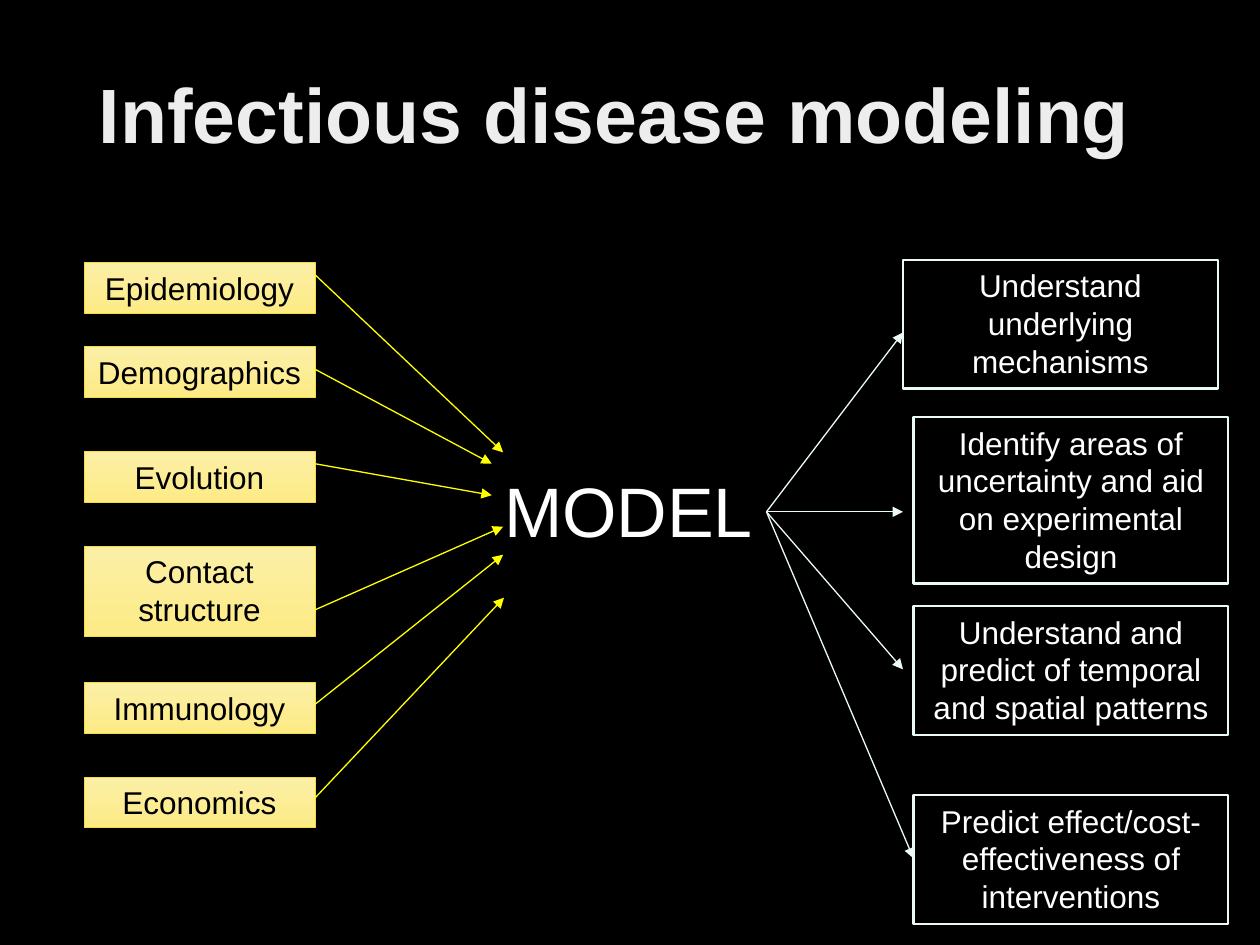
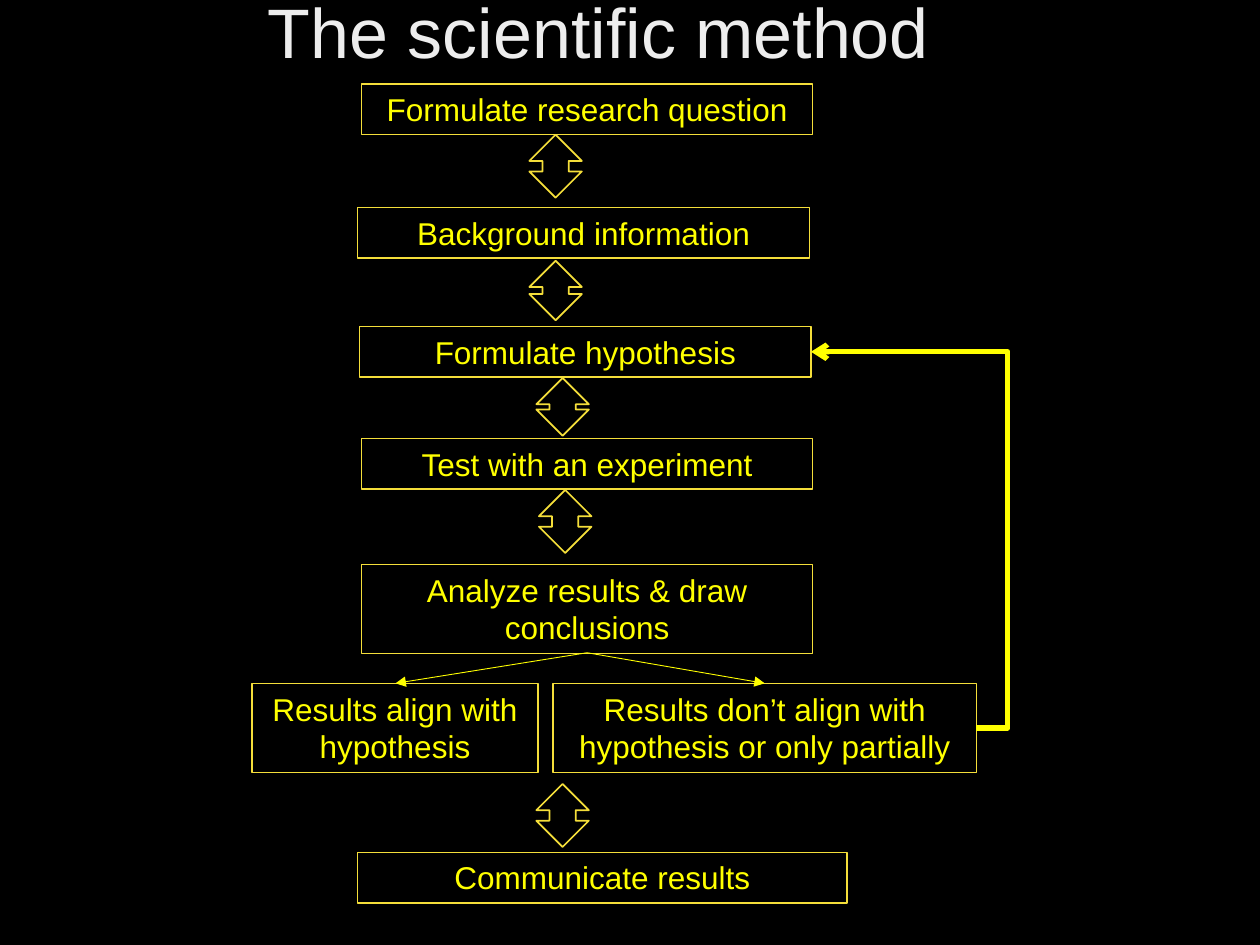
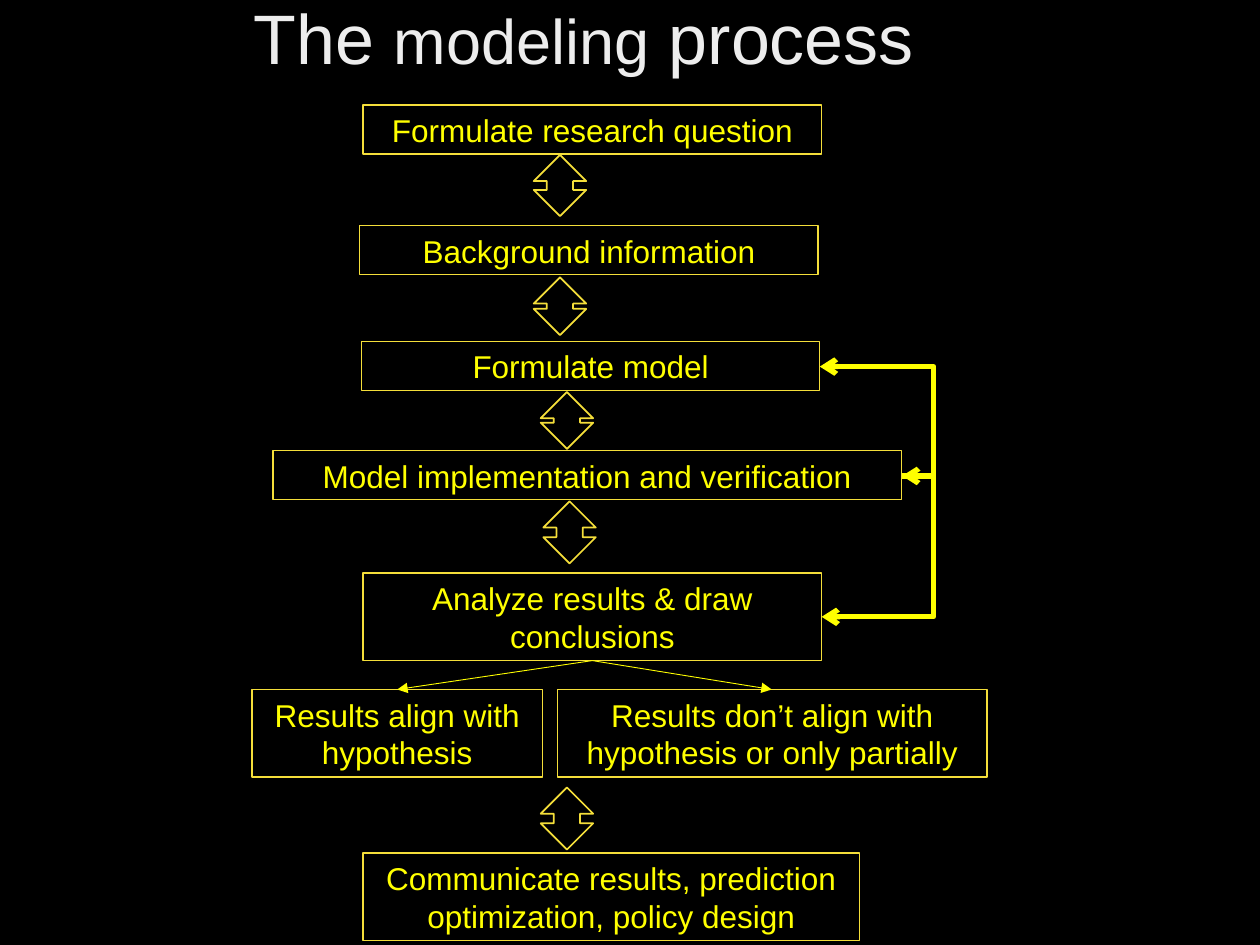
from lxml import etree
from pptx import Presentation
from pptx.dml import color
from pptx.enum import shapes, text
from pptx.oxml import ns
from pptx.util import Pt

BLACK, WHITE, TITLE = "000000", "FFFFFF", "EDEDED"
YELLOW, GOLD, MINT = "FFFF00", "F4DE3A", "EAFBF7"
CREAM = ("FBEFA7", "FDEB85")
BODY = {"name": "Arial", "size": Pt(18)}
RECT = shapes.MSO_SHAPE.RECTANGLE
LEFT, CENTER = text.PP_ALIGN.LEFT, text.PP_ALIGN.CENTER


def rgb(value):
    return color.RGBColor.from_string(value)


def set_all(obj, values):
    for name, value in values.items():
        setattr(obj, name, value)


def add_runs(tf, runs, fill, align, spacing=None, **extra):
    p = tf.paragraphs[0]
    set_all(p, {"alignment": align, "line_spacing": spacing})
    for words, size in runs:
        r = p.add_run()
        r.text = words
        set_all(r.font, {**BODY, "size": Pt(size), **extra})
        r.font.color.rgb = rgb(fill)


def add_text(slide, box, runs, fill, anchor, spacing=None, **extra):
    sp = slide.shapes.add_textbox(*map(Pt, box))
    set_all(sp.text_frame, {"word_wrap": True, "vertical_anchor": anchor})
    add_runs(sp.text_frame, runs, fill, LEFT, spacing, **extra)


def add_title(slide, box, runs, **extra):
    add_text(slide, box, runs, TITLE, text.MSO_ANCHOR.MIDDLE, 0.9, **extra)


def add_outline(slide, kind, box, line, weight):
    sp = slide.shapes.add_shape(kind, *map(Pt, box))
    sp.shadow.inherit = False
    sp.fill.background()
    sp.line.color.rgb = rgb(line)
    sp.line.width = Pt(weight)
    return sp


def add_box(slide, words, box, line, weight, font_fill, gradient=None):
    sp = add_outline(slide, RECT, box, line, weight)
    if gradient:
        sp.fill.gradient()
        sp.fill.gradient_angle = 270
        for stop, value in zip(sp.fill.gradient_stops, gradient):
            stop.color.rgb = rgb(value)
    tf = sp.text_frame
    set_all(tf, {"word_wrap": True, "vertical_anchor": text.MSO_ANCHOR.TOP})
    add_runs(tf, [(words, 18)], font_fill, CENTER)


def add_arrow(slide, start, end, line, weight, bend=None,
              head=None, tail="triangle"):
    kind = shapes.MSO_CONNECTOR.ELBOW if bend else shapes.MSO_CONNECTOR.STRAIGHT
    cx = slide.shapes.add_connector(kind, *map(Pt, (*start, *end)))
    cx.line.color.rgb = rgb(line)
    cx.line.width = Pt(weight)
    ln = cx.line._get_or_add_ln()
    for tag, style in (("a:headEnd", head), ("a:tailEnd", tail)):
        if style:
            etree.SubElement(ln, ns.qn(tag), type=style)
    pr = cx._element.spPr
    etree.SubElement(pr, ns.qn("a:effectLst"))
    if bend:
        ratio = round((bend - start[0]) / (end[0] - start[0]) * 100000)
        guides = pr.find(ns.qn("a:prstGeom")).get_or_add_avLst()
        etree.SubElement(guides, ns.qn("a:gd"), name="adj1", fmla=f"val {ratio}")


def add_flow(slide, steps, double_arrows, fork, branches):
    for words, *box in steps:
        add_box(slide, words, box, GOLD, 0.75, YELLOW)
    for left, top, height in double_arrows:
        add_outline(slide, shapes.MSO_SHAPE.UP_DOWN_ARROW,
                    (left, top, 30, height), GOLD, 1)
    for branch in branches:
        add_arrow(slide, fork, branch, YELLOW, 0.5)


def build_overview(slide):
    add_title(slide, (49.5, 29, 621, 77),
              [("Infectious disease modeling", 44)], bold=True)
    fields = [
        ("Epidemiology", 150, 29, 157, (287.5, 258.5)),
        ("Demographics", 198, 29, 211, (281, 265)),
        ("Evolution", 258, 29, 265, (281, 283)),
        ("Contact structure", 312, 52, 348.5, (287.5, 301)),
        ("Immunology", 390, 29, 402.5, (287.5, 317)),
        ("Economics", 444, 29, 456, (288, 341.5)),
    ]
    for words, top, height, y, target in fields:
        add_box(slide, words, (48, top, 132, height), GOLD, 0.5, BLACK, CREAM)
        add_arrow(slide, (180, y), target, YELLOW, 0.75)
    add_text(slide, (281, 263.5, 174, 55.5), [("MODEL", 40)], WHITE,
             text.MSO_ANCHOR.TOP)
    aims = [
        ("Understand underlying mechanisms", 516, 148.5, 73.5, (516, 190)),
        ("Identify areas of uncertainty and aid on experimental design",
         522, 238.5, 95, (516, 292.5)),
        ("Understand and predict of temporal and spatial patterns",
         522, 346.5, 73.5, (516, 382.5)),
        ("Predict effect/cost-effectiveness of interventions",
         522, 454.5, 73.5, (522, 490.5)),
    ]
    for words, left, top, height, target in aims:
        add_box(slide, words, (left, top, 180, height), MINT, 1.25, WHITE)
        add_arrow(slide, (438, 292.5), target, MINT, 0.75)


def build_method(slide):
    add_title(slide, (146, -16.5, 574, 73.5), [("The scientific method", 40)])
    steps = [
        ("Formulate research question", 206.5, 48, 258, 29),
        ("Background information", 204.5, 118.5, 258, 29),
        ("Formulate hypothesis", 205.5, 186.5, 258, 29),
        ("Test with an experiment", 206.5, 250.5, 258, 29),
        ("Analyze results & draw conclusions", 206.5, 322.5, 258, 51),
        ("Results align with hypothesis", 144, 390.5, 163.5, 51),
        ("Results don’t align with hypothesis or only partially",
         316, 390.5, 242, 51),
        ("Communicate results", 204.5, 487, 279.5, 29),
    ]
    double_arrows = [(302.5, 77, 36), (302.5, 149, 34), (306.5, 216, 33),
                     (308, 280, 36), (306.5, 448, 36)]
    add_flow(slide, steps, double_arrows, (335.5, 373),
             [(226, 390.5), (437, 390.5)])
    add_arrow(slide, (558, 416), (463.5, 201), YELLOW, 3, 576, tail="arrow")


def build_process(slide):
    add_title(slide, (138, -13, 582, 73.5),
              [("The ", 40), ("modeling", 36), (" process", 40)])
    steps = [
        ("Formulate research question", 207.5, 60, 262, 28),
        ("Background information", 205.5, 129, 262, 28),
        ("Formulate model", 206.5, 195, 262, 28),
        ("Model implementation and verification", 156, 257.5, 359, 28),
        ("Analyze results & draw conclusions", 207.5, 327.5, 262, 50),
        ("Results align with hypothesis", 144, 394, 166, 50),
        ("Results don’t align with hypothesis or only partially",
         318.5, 394, 245.5, 50),
        ("Communicate results, prediction optimization, policy design",
         207.5, 487.5, 283.5, 50),
    ]
    double_arrows = [(305, 88.5, 35), (305, 158.5, 33), (309, 224, 32.5),
                     (310.5, 286.5, 35.5), (309, 450, 35.5)]
    add_flow(slide, steps, double_arrows, (338.5, 377.5),
             [(227, 394), (441, 394)])
    check = (515.5, 272)
    add_arrow(slide, check, (468.5, 209.5), YELLOW, 3, 533.5, tail="arrow")
    add_arrow(slide, (469.5, 352.5), check, YELLOW, 3, 533.5, "arrow", "arrow")


def main():
    prs = Presentation()
    set_all(prs, {"slide_width": Pt(720), "slide_height": Pt(540)})
    background = prs.slide_master.background.fill
    background.solid()
    background.fore_color.rgb = rgb(BLACK)
    for build in (build_overview, build_method, build_process):
        build(prs.slides.add_slide(prs.slide_layouts[6]))
    prs.save("out.pptx")


if __name__ == "__main__":
    main()
